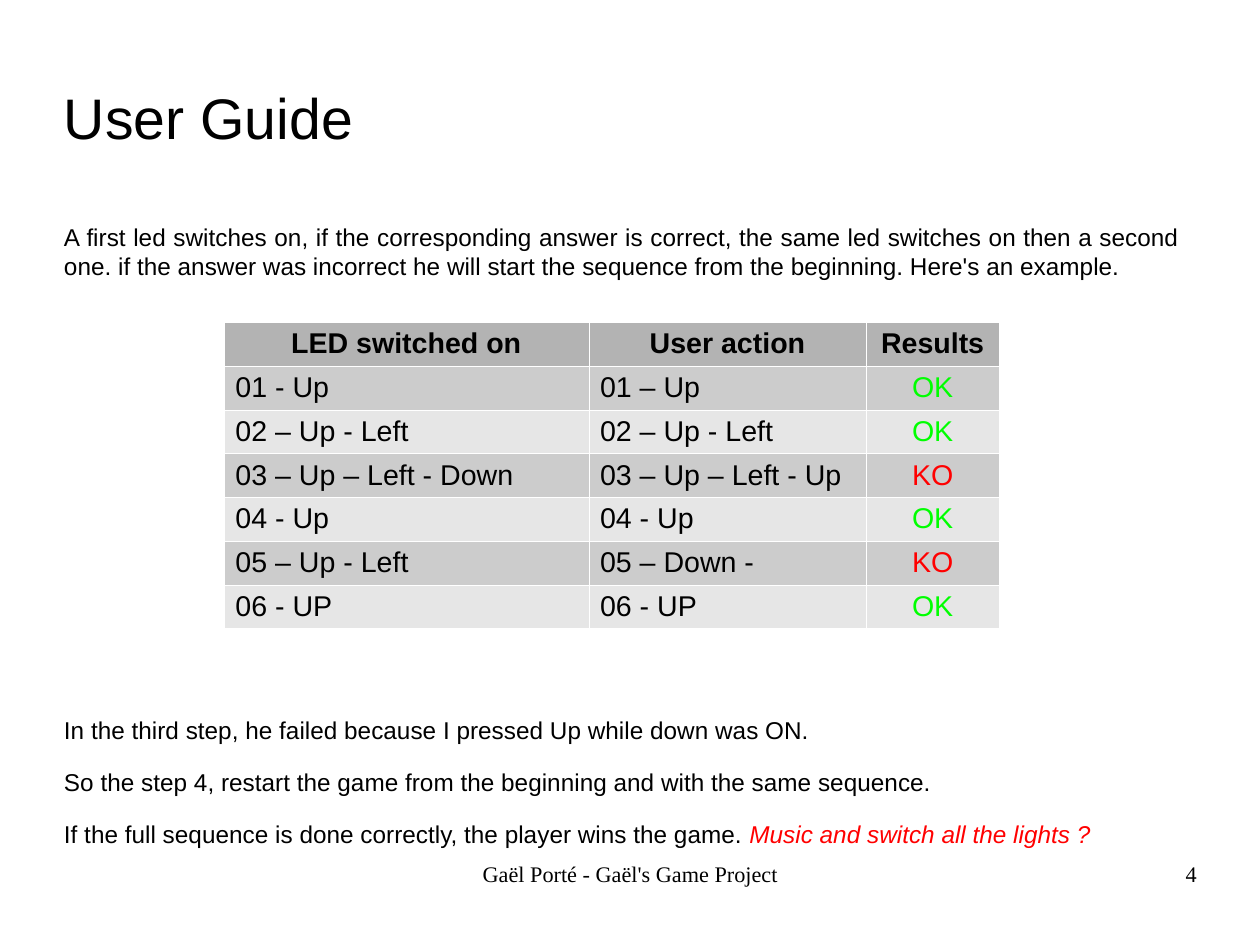
from lxml import etree
from pptx import Presentation
from pptx.dml.color import RGBColor
from pptx.enum.text import MSO_ANCHOR, MSO_AUTO_SIZE, PP_ALIGN
from pptx.oxml.ns import qn
from pptx.util import Inches, Pt

LEFT, CENTER, RIGHT, JUSTIFY = PP_ALIGN.LEFT, PP_ALIGN.CENTER, PP_ALIGN.RIGHT, PP_ALIGN.JUSTIFY
TOP, MIDDLE, NO_FIT = MSO_ANCHOR.TOP, MSO_ANCHOR.MIDDLE, MSO_AUTO_SIZE.NONE

CM_PER_INCH = 2.54
PAGE_WIDTH = Inches(28 / CM_PER_INCH)
PAGE_HEIGHT = Inches(21 / CM_PER_INCH)

BLACK = RGBColor(0x00, 0x00, 0x00)
RED = RGBColor(0xFF, 0x00, 0x00)
GREEN = RGBColor(0x00, 0xFF, 0x00)
HEADER_GRAY = RGBColor(0xB3, 0xB3, 0xB3)
BAND_GRAYS = (RGBColor(0xCC, 0xCC, 0xCC), RGBColor(0xE6, 0xE6, 0xE6))
BORDER_WHITE = RGBColor(0xFF, 0xFF, 0xFF)
BORDER_WIDTH = Pt(0.06)

TITLE_FONT = {"name": "Arial", "size": Pt(36)}
BODY_FONT = {"name": "Arial", "size": Pt(15.3)}
TABLE_FONT = {"name": "Arial", "size": Pt(18)}
FOOTER_FONT = {"name": "Times New Roman", "size": Pt(14)}
RESULT_COLORS = {"OK": GREEN, "KO": RED}

COLUMN_WIDTHS = (3.19, 2.43, 1.16)
TABLE_HEIGHT = 2.68
STEPS = [
    ("LED switched on", "User action", "Results"),
    ("01 - Up", "01 – Up", "OK"),
    ("02 – Up - Left", "02 – Up - Left", "OK"),
    ("03 – Up – Left - Down", "03 – Up – Left - Up", "KO"),
    ("04 - Up", "04 - Up", "OK"),
    ("05 – Up - Left", "05 – Down -", "KO"),
    ("06 - UP", "06 - UP", "OK"),
]

PARAGRAPH_GAP = 14.2
TABLE_GAP = 260
BODY = [
    (0, [("A first led switches on, if the corresponding answer is correct, "
          "the same led switches on then a second one. if the answer was incorrect "
          "he will start the sequence from the beginning. Here's an example.", {})]),
    (TABLE_GAP, [("In the third step, he failed because I pressed Up while down was ON.", {})]),
    (0, [("So the step 4, restart the game from the beginning and with the same sequence.", {})]),
    (0, [("If the full sequence is done correctly, the player wins the game. ", {}),
         ("Music and switch all the lights ?", {"color": RED, "italic": True})]),
]


def apply_values(target, values):
    """Set every attribute named in a dict of format values."""
    for name, value in values.items():
        setattr(target, name, value)


def add_span(para, text, font, color=BLACK, **extras):
    """Add a formatted run to a paragraph."""
    span = para.add_run()
    span.text = text
    apply_values(span.font, {**font, **extras})
    span.font.color.rgb = color


def prepare_box(box, left, top, width, height, anchor=TOP):
    """Place a text shape and clear its insets."""
    apply_values(box, {"left": Inches(left), "top": Inches(top),
                       "width": Inches(width), "height": Inches(height)})
    frame = box.text_frame
    apply_values(frame, {"margin_left": 0, "margin_top": 0, "margin_right": 0,
                         "margin_bottom": 0, "word_wrap": True,
                         "auto_size": NO_FIT, "vertical_anchor": anchor})
    return frame


def fill_title(page):
    """Fill the title placeholder."""
    frame = prepare_box(page.shapes.title, 0.56, 0.63, 7.87, 0.79, MIDDLE)
    para = frame.paragraphs[0]
    para.alignment = LEFT
    add_span(para, "User Guide", TITLE_FONT)


def fill_body(page):
    """Fill the body placeholder, leaving room for the table."""
    frame = prepare_box(page.placeholders[1], 0.56, 1.94, 9.76, 5.7)
    for index, (space_before, spans) in enumerate(BODY):
        para = frame.add_paragraph() if index else frame.paragraphs[0]
        apply_values(para, {"alignment": JUSTIFY, "space_before": Pt(space_before),
                            "space_after": Pt(PARAGRAPH_GAP)})
        properties = para._p.get_or_add_pPr()
        properties.set("marL", "0")
        properties.set("indent", "0")
        etree.SubElement(properties, qn("a:buNone"))
        for text, extras in spans:
            add_span(para, text, BODY_FONT, **extras)


def set_borders(cell):
    """Draw thin white lines on all sides of a cell."""
    properties = cell._tc.get_or_add_tcPr()
    for position, side in enumerate(("a:lnL", "a:lnR", "a:lnT", "a:lnB")):
        line = etree.Element(qn(side), w=str(BORDER_WIDTH))
        fill = etree.SubElement(line, qn("a:solidFill"))
        etree.SubElement(fill, qn("a:srgbClr"), val=str(BORDER_WHITE))
        properties.insert(position, line)


def add_steps_table(page):
    """Add the table of game steps."""
    table = page.shapes.add_table(
        len(STEPS), len(COLUMN_WIDTHS), Inches(1.96), Inches(2.82),
        Inches(sum(COLUMN_WIDTHS)), Inches(TABLE_HEIGHT)).table
    for column, width in zip(table.columns, COLUMN_WIDTHS):
        column.width = Inches(width)
    for row_index, texts in enumerate(STEPS):
        is_header = row_index == 0
        table.rows[row_index].height = Inches(TABLE_HEIGHT / len(STEPS))
        for column_index, text in enumerate(texts):
            cell = table.cell(row_index, column_index)
            cell.fill.solid()
            cell.fill.fore_color.rgb = (
                HEADER_GRAY if is_header else BAND_GRAYS[(row_index - 1) % 2])
            set_borders(cell)
            para = cell.text_frame.paragraphs[0]
            para.alignment = CENTER if is_header or text in RESULT_COLORS else LEFT
            add_span(para, text, TABLE_FONT, RESULT_COLORS.get(text, BLACK), bold=is_header)


def add_footer(page, text, left, width, alignment):
    """Add one text box on the footer line."""
    box = page.shapes.add_textbox(0, 0, 0, 0)
    para = prepare_box(box, left, 7.53, width, 0.57).paragraphs[0]
    para.alignment = alignment
    add_span(para, text, FOOTER_FONT)


def main():
    """Build the slide and save the deck."""
    deck = Presentation()
    apply_values(deck, {"slide_width": PAGE_WIDTH, "slide_height": PAGE_HEIGHT})
    page = deck.slides.add_slide(deck.slide_layouts[1])
    fill_title(page)
    fill_body(page)
    add_steps_table(page)
    add_footer(page, "Gaël Porté - Gaël's Game Project", 3.77, 3.49, CENTER)
    add_footer(page, "4", 7.9, 2.57, RIGHT)
    deck.save("out.pptx")


if __name__ == "__main__":
    main()
